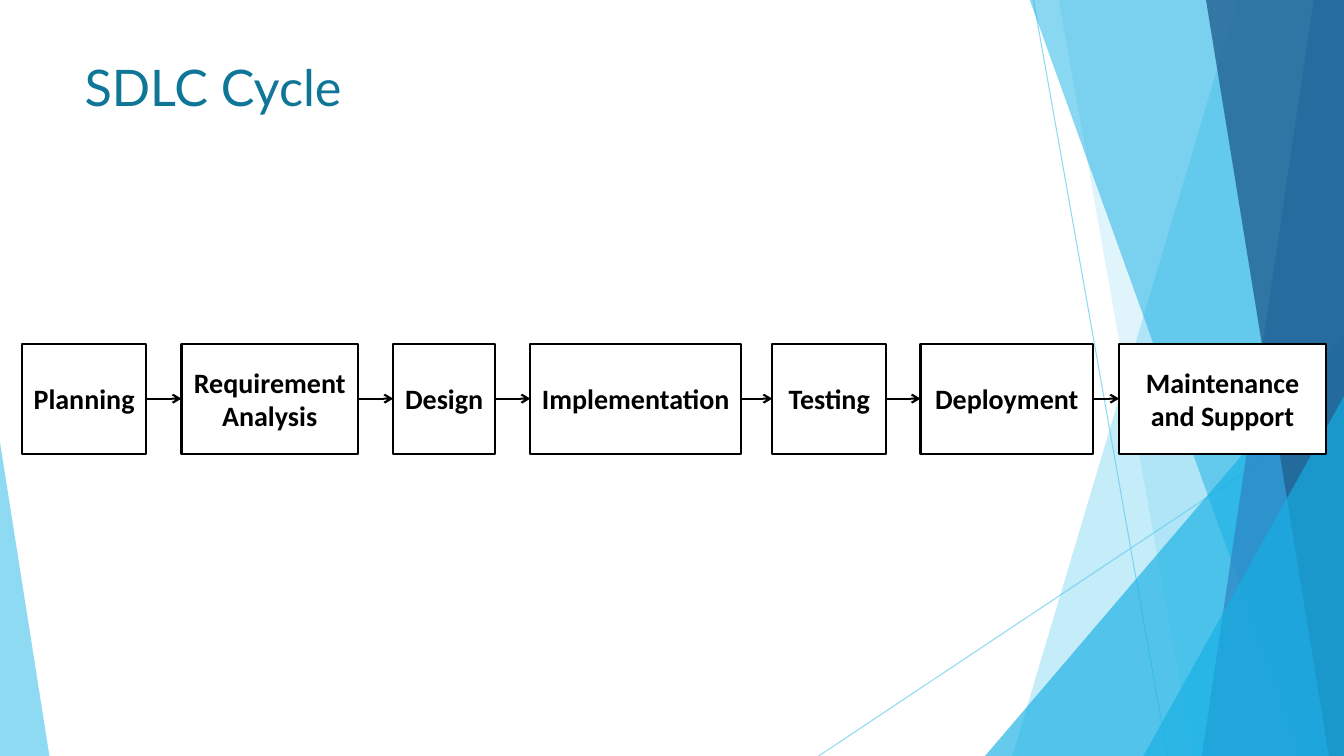
from lxml.etree import SubElement
from pptx import Presentation
from pptx.dml.color import RGBColor
from pptx.enum.shapes import MSO_CONNECTOR as Connector, MSO_SHAPE as Shape
from pptx.enum.text import MSO_ANCHOR as Anchor, PP_ALIGN as Align
from pptx.oxml.ns import qn
from pptx.util import Inches, Pt

# Content
TITLE = "SDLC Cycle"
STAGES = [  # label, left, width
    ("Planning", 0.22, 1.23),
    ("Requirement\nAnalysis", 1.8, 1.75),
    ("Design", 3.9, 1.01),
    ("Implementation", 5.26, 2.09),
    ("Testing", 7.66, 1.13),
    ("Deployment", 9.13, 1.71),
    ("Maintenance and Support", 11.1, 2.05),
]

# Theme
THEME = {
    "title": "0F7698", "ink": "000000", "paper": "FFFFFF",
    "sky": "5FCBEF", "cyan": "17B0E4", "blue": "2E83C3", "navy": "226292",
    "title_font": "Lato", "stage_font": "Calibri",
    "title_size": 36, "stage_size": 20,
    "hairline": 0.75, "outline": 1.5,
}

# Layout
WIDTH, HEIGHT = 13.33, 7.5
STAGE_TOP, STAGE_HEIGHT = 3.41, 1.09
RAYS = [((10.25, 0), (11.58, HEIGHT)), ((WIDTH, 4.03), (8.12, HEIGHT))]
BLEED = -0.01
# Panels run to the right edge: left at top, left at bottom, colour, opacity.
# Wedges stand on the bottom edge: left, top, width, apex side, colour, opacity.
DECORATION = [
    ("panel", (12.28, 10.04), "sky", 36),
    ("panel", (10.5, 11.83), "sky", 20),
    ("wedge", (9.77, 3.33, 3.56, 1), "cyan", 66),
    ("panel", (10.21, 12.91), "cyan", 50),
    ("panel", (13.03, 11.92), "blue", 70),
    ("panel", (11.96, 13.18), "navy", 80),
    ("wedge", (11.34, 3.93, 1.99, 1), "cyan", 66),
    ("wedge", (0, 4.39, 0.49, 0), "sky", 70),
]


def color(name):
    return RGBColor.from_string(THEME[name])


def set_opacity(fill_parent, percent):
    tint = next(fill_parent.iter(qn("a:srgbClr")))
    SubElement(tint, qn("a:alpha")).set("val", str(percent * 1000))


def add_line(page, start, end, ink, weight):
    line = page.shapes.add_connector(
        Connector.STRAIGHT, *(Inches(value) for value in (*start, *end)))
    line.line.color.rgb = color(ink)
    line.line.width = Pt(THEME[weight])
    SubElement(line._element.spPr, qn("a:effectLst"))
    return line


def add_panel(page, top_left, bottom_left):
    corners = [(top_left, BLEED), (WIDTH, BLEED),
               (WIDTH, HEIGHT), (bottom_left, HEIGHT)]
    points = [(Inches(x), Inches(y)) for x, y in corners]
    outline = page.shapes.build_freeform(*points[0])
    outline.add_line_segments(points[1:], close=True)
    return outline.convert_to_shape()


def add_wedge(page, left, top, width, apex):
    wedge = page.shapes.add_shape(
        Shape.ISOSCELES_TRIANGLE, Inches(left), Inches(top),
        Inches(width), Inches(HEIGHT - top))
    wedge.adjustments[0] = apex
    return wedge


def style_text(frame, font, size, ink, bold=False, align=Align.LEFT):
    frame.word_wrap = True
    for para in frame.paragraphs:
        para.alignment = align
        for span in para.runs:
            span.font.name = THEME[font]
            span.font.size = Pt(THEME[size])
            span.font.bold = bold
            span.font.color.rgb = color(ink)


def add_stage(page, label, left, width):
    box = page.shapes.add_shape(
        Shape.RECTANGLE, Inches(left), Inches(STAGE_TOP),
        Inches(width), Inches(STAGE_HEIGHT))
    box.shadow.inherit = False
    box.fill.solid()
    box.fill.fore_color.rgb = color("paper")
    box.line.color.rgb = color("ink")
    box.line.width = Pt(THEME["outline"])
    box.text_frame.text = label
    box.text_frame.vertical_anchor = Anchor.MIDDLE
    style_text(box.text_frame, "stage_font", "stage_size", "ink", True, Align.CENTER)


def main():
    deck = Presentation()
    deck.slide_width, deck.slide_height = Inches(WIDTH), Inches(HEIGHT)
    page = deck.slides.add_slide(deck.slide_layouts[6])

    # Background rays and translucent facets
    for start, end in RAYS:
        ray = add_line(page, start, end, "sky", "hairline")
        set_opacity(ray._element.spPr, 70)
    builders = {"panel": add_panel, "wedge": add_wedge}
    for kind, geometry, tint, opacity in DECORATION:
        facet = builders[kind](page, *geometry)
        facet.shadow.inherit = False
        facet.line.fill.background()
        facet.fill.solid()
        facet.fill.fore_color.rgb = color(tint)
        set_opacity(facet._element.spPr, opacity)

    # Title
    title = page.shapes.add_textbox(
        Inches(0.74), Inches(0.51), Inches(9.4), Inches(1.09))
    title.text_frame.text = TITLE
    style_text(title.text_frame, "title_font", "title_size", "title")

    # Stages
    for stage in STAGES:
        add_stage(page, *stage)

    # Arrows from each stage to the next
    middle = STAGE_TOP + STAGE_HEIGHT / 2
    for (_, left, width), (_, next_left, _) in zip(STAGES, STAGES[1:]):
        arrow = add_line(page, (left + width, middle), (next_left, middle),
                         "ink", "outline")
        SubElement(arrow.line._get_or_add_ln(), qn("a:tailEnd")).set("type", "arrow")

    deck.save("out.pptx")


if __name__ == "__main__":
    main()
